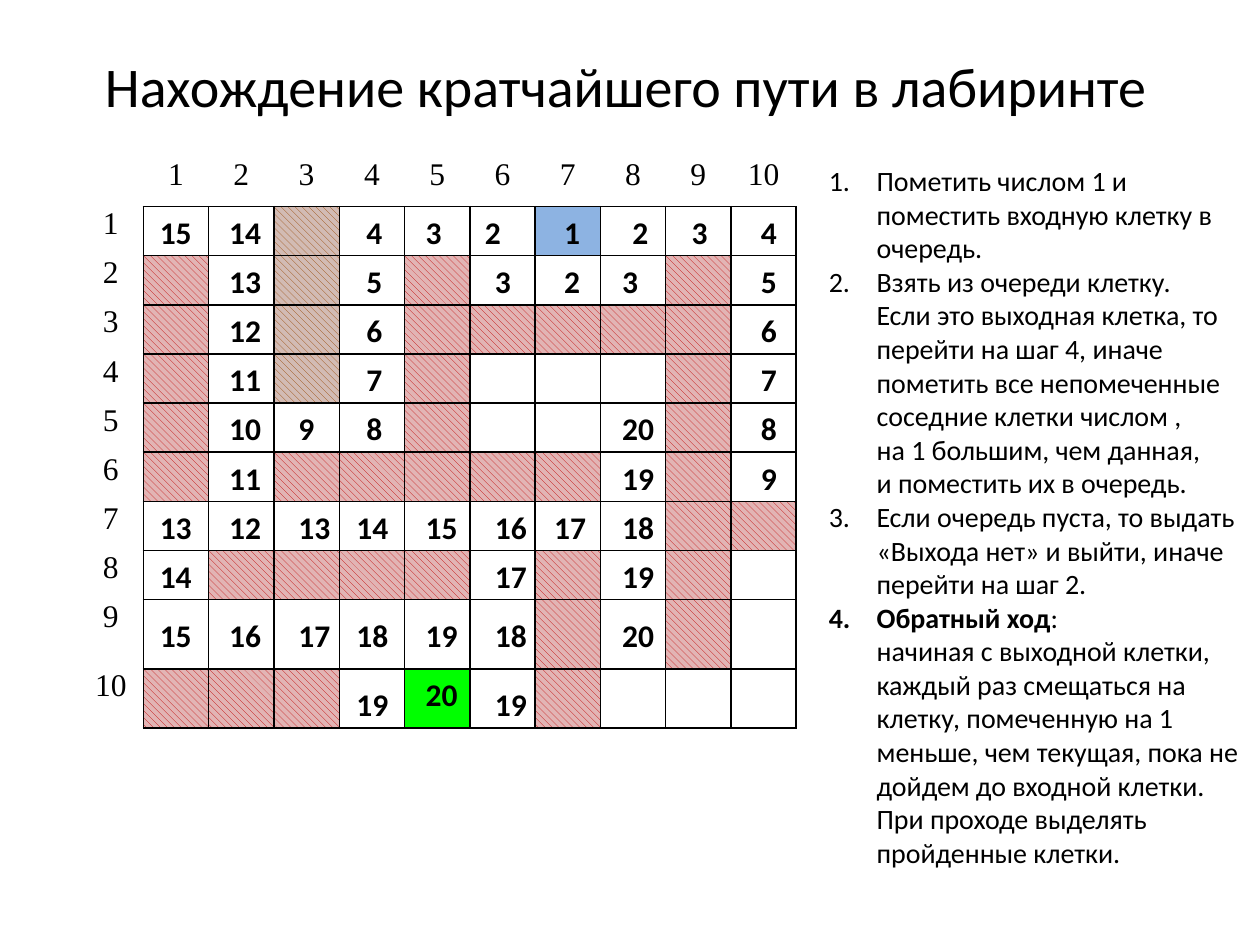
from lxml.etree import SubElement
from pptx import Presentation
from pptx.dml.color import RGBColor
from pptx.enum.dml import MSO_PATTERN
from pptx.enum.text import MSO_ANCHOR, PP_ALIGN
from pptx.oxml.ns import qn
from pptx.util import Inches, Pt

COLORS = {
    "ink": "000000", "start": "8DB3E2", "goal": "00FF00",
    "wall": "C00000", "wall back": "E2B4B4",
    "block": "984806", "block back": "D2BBB4",
}
PLAIN = "{2D5ABB26-0587-4C30-8999-92F81FD0307C}"
TITLE = {"name": "Calibri", "size": Pt(32), "bold": False}
LABEL = {"name": "Times New Roman", "size": Pt(18), "bold": False}
MARK = {"name": "Calibri", "size": Pt(18), "bold": True}
BODY = {"name": "Calibri", "size": Pt(16), "bold": False}
STRONG = {**BODY, "bold": True}

MAZE = [row.split() for row in (
    "15 14 % 4 3 2 1 2 3 4",
    "# 13 % 5 # 3 2 3 # 5",
    "# 12 % 6 # # # # # 6",
    "# 11 % 7 # . . . # 7",
    "# 10 9 8 # . . 20 # 8",
    "# 11 # # # # # 19 # 9",
    "13 12 13 14 15 16 17 18 # #",
    "14 # # # # 17 # 19 # .",
    "15 16 17 18 19 18 # 20 # .",
    "# # # 19 20 19 # . . .",
)]
KINDS = {"#": "wall", "%": "block"}
SPOTS = {(0, 6): "start", (9, 4): "goal"}
LEFTS = [1.17, 1.72, 2.27, 2.73, 3.28, 3.83, 4.3, 4.84, 5.39, 5.94]
TOPS = [1.64 + 0.39 * i for i in range(8)] + [4.84, 5.39]
SHIFTS = {(0, 5): (-0.08, 0), (0, 7): (0.08, 0), (9, 4): (0, -0.08)}
HEIGHTS = [0.39] * 9 + [0.55, 0.47]

STEPS = [
    ["Пометить числом 1 и", "поместить входную клетку в", "очередь."],
    ["Взять из очереди клетку.", "Если это выходная клетка, то",
     "перейти на шаг 4, иначе", "пометить все непомеченные",
     "соседние клетки числом ,", "на 1 большим, чем данная,",
     "и поместить их в очередь."],
    ["Если очередь пуста, то выдать", "«Выхода нет» и выйти, иначе",
     "перейти на шаг 2."],
    ["Обратный ход:", "начиная с выходной клетки,",
     "каждый раз смещаться на", "клетку, помеченную на 1",
     "меньше, чем текущая, пока не", "дойдем до входной клетки.",
     "При проходе выделять", "пройденные клетки."],
]


def tint(name):
    return RGBColor.from_string(COLORS[name])


class Deck:
    """Holds the style and the current slide."""

    def __init__(self):
        self.deck = Presentation()
        self.deck.slide_width = Inches(10)
        self.deck.slide_height = Inches(7.5)
        self.slide = self.deck.slides.add_slide(self.deck.slide_layouts[6])

    def text(self, para, words, style):
        run = para.add_run()
        run.text = words
        for key, value in style.items():
            setattr(run.font, key, value)
        run.font.color.rgb = tint("ink")

    def box(self, left, top, width, height, wrap=True):
        shape = self.slide.shapes.add_textbox(
            Inches(left), Inches(top), Inches(width), Inches(height))
        shape.text_frame.word_wrap = wrap
        return shape.text_frame

    def title(self, words):
        frame = self.box(0.47, 0.16, 9, 1.03)
        frame.vertical_anchor = MSO_ANCHOR.MIDDLE
        frame.paragraphs[0].alignment = PP_ALIGN.CENTER
        self.text(frame.paragraphs[0], words, TITLE)

    def mark(self, words, left, top):
        frame = self.box(left, top, 0.33 if len(words) == 1 else 0.46, 0.4, False)
        self.text(frame.paragraphs[0], words, MARK)

    def edge(self, cell, sides):
        props = cell._tc.get_or_add_tcPr()
        for side in sides:
            line = SubElement(props, qn("a:ln" + side), w=str(Pt(1)))
            fill = SubElement(line, qn("a:solidFill"))
            SubElement(fill, qn("a:srgbClr"), val=COLORS["ink"])

    def paint(self, cell, kind):
        fill = cell.fill
        if kind is None:
            fill.background()
        elif kind in KINDS.values():
            fill.patterned()
            fill.pattern = MSO_PATTERN.DOWNWARD_DIAGONAL
            fill.fore_color.rgb = tint(kind)
            fill.back_color.rgb = tint(kind + " back")
        else:
            fill.solid()
            fill.fore_color.rgb = tint(kind)

    def label(self, cell, words, before):
        para = cell.text_frame.paragraphs[0]
        para.alignment = PP_ALIGN.CENTER
        para.space_before = Pt(before)
        self.text(para, words, LABEL)

    def grid(self):
        size = len(HEIGHTS)
        table = self.slide.shapes.add_table(
            size, size, Inches(0.62), Inches(1.25),
            Inches(5.7), Inches(sum(HEIGHTS))).table
        table.first_row = table.horz_banding = False
        table._tbl.tblPr.find(qn("a:tableStyleId")).text = PLAIN
        for row, height in zip(table.rows, HEIGHTS):
            row.height = Inches(height)
        for y in range(size):
            for x in range(size):
                cell = table.cell(y, x)
                cell.margin_top = cell.margin_bottom = 0
                cell.margin_left = cell.margin_right = Inches(0.07)
                kind = None
                if x and y:
                    self.edge(cell, "LRTB")
                    spot = (y - 1, x - 1)
                    kind = SPOTS.get(spot, KINDS.get(MAZE[y - 1][x - 1]))
                elif x or y:
                    self.edge(cell, "B" if x else "R")
                    self.label(cell, str(x or y), 3 if x else 0)
                self.paint(cell, kind)

    def marks(self):
        for y, row in enumerate(MAZE):
            for x, words in enumerate(row):
                if words.isdigit():
                    right, down = SHIFTS.get((y, x), (0, 0))
                    if len(words) == 1 and x in (3, 6):
                        right += 0.08
                    self.mark(words, LEFTS[x] + right, TOPS[y] + down)

    def steps(self):
        frame = self.box(6.48, 1.25, 3.54, 5.76)
        para = frame.paragraphs[0]
        for count, lines in enumerate(STEPS, 1):
            for i, words in enumerate(lines):
                if count > 1 or i:
                    para = frame.add_paragraph()
                props = para._p.get_or_add_pPr()
                props.set("marL", str(Inches(0.38)))
                props.set("indent", str(Inches(0 if i else -0.38)))
                if i == 0:
                    SubElement(props, qn("a:buAutoNum"),
                               type="arabicPeriod", startAt=str(count))
                if words.endswith(":"):
                    self.text(para, words[:-1], STRONG)
                    words = ":"
                self.text(para, words, BODY)


show = Deck()
show.title("Нахождение кратчайшего пути в лабиринте")
show.grid()
show.marks()
show.steps()
show.deck.save("out.pptx")
